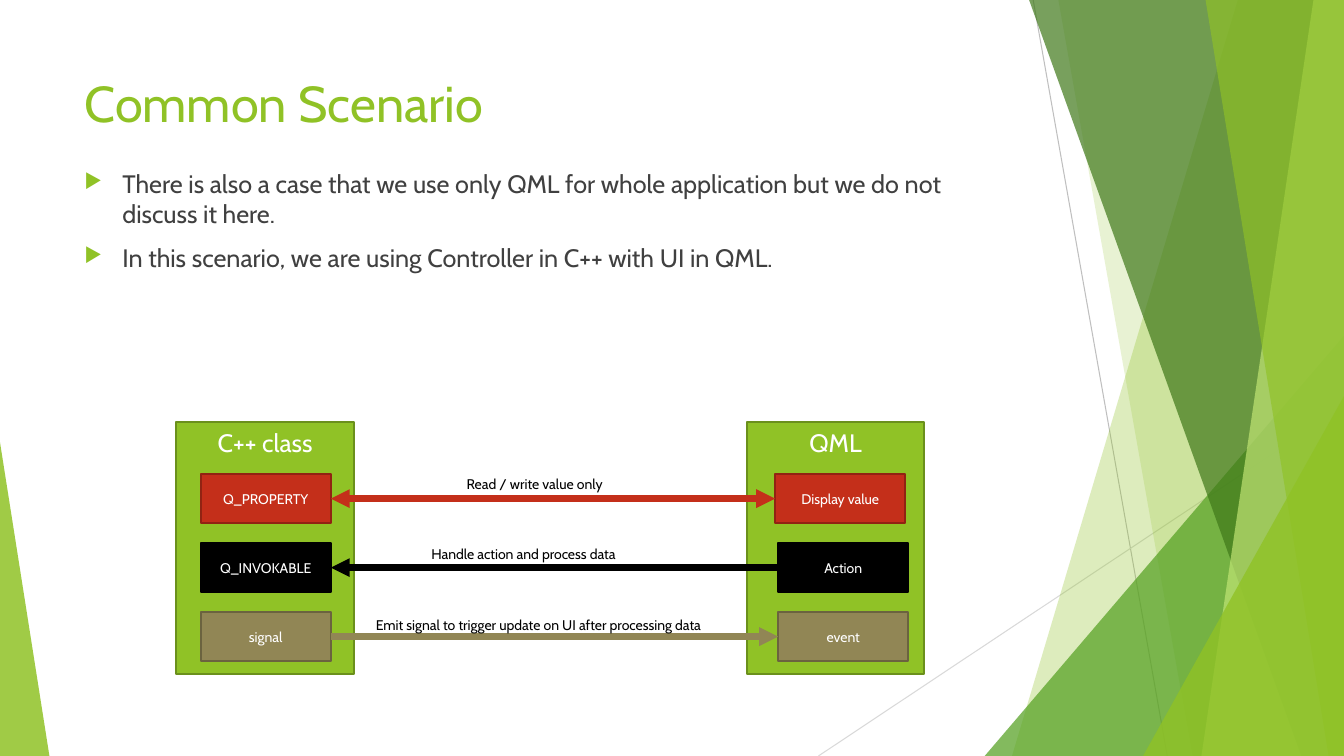
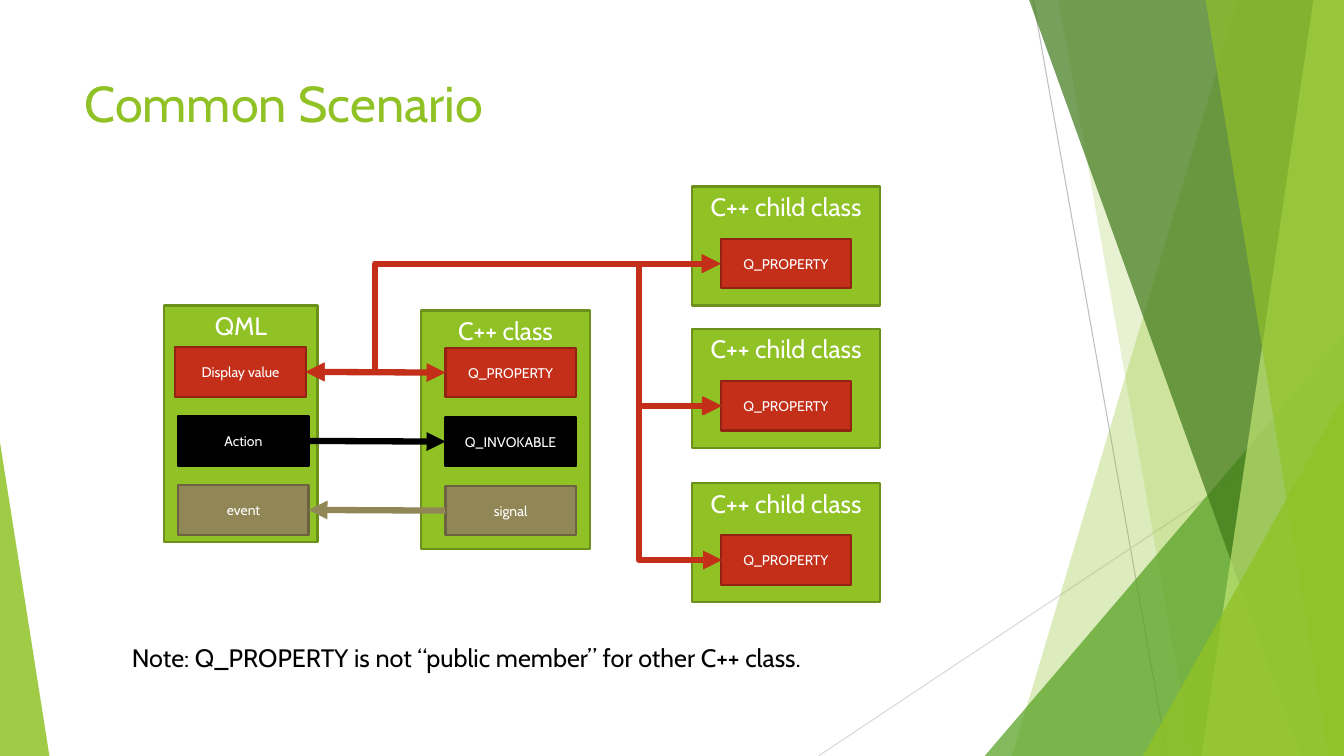
from dataclasses import dataclass
from typing import Optional, Sequence, Union

from lxml.etree import SubElement
from pptx import Presentation
from pptx.dml.color import RGBColor
from pptx.enum.shapes import MSO_CONNECTOR, MSO_SHAPE
from pptx.enum.text import MSO_ANCHOR, PP_ALIGN
from pptx.oxml.ns import qn
from pptx.util import Pt

FONT = "Cabin"
GREEN, GREEN_EDGE = "90C226", "6B901C"
RED, BLACK, OLIVE = "C42F1A", "000000", "918655"
EDGES = {GREEN: GREEN_EDGE, RED: "912313", BLACK: BLACK, OLIVE: "6B633F"}
WHITE, TEXT = "FFFFFF", "404040"
PAGE_WIDTH, PAGE_HEIGHT = 960, 540
BOX_WIDTH, BOX_HEIGHT, ROW_PITCH = 93, 35.5, 49.3
SITE_LEFT, SITE_RIGHT = 1, 3


@dataclass(frozen=True)
class Band:
    top_x: float
    bottom_x: float
    color: str
    opacity: int


@dataclass(frozen=True)
class Wedge:
    left: float
    top: float
    width: float
    apex: float
    color: str
    opacity: int


@dataclass(frozen=True)
class Member:
    text: str
    color: str
    shift: float = 0


@dataclass(frozen=True)
class Panel:
    title: str
    left: float
    top: float
    width: float
    height: float
    box_left: float
    box_top: float
    members: Sequence[Member]


@dataclass(frozen=True)
class Label:
    text: str
    left: float
    top: float
    width: float


BACKDROP: Sequence[Union[Band, Wedge]] = (
    Band(884.2, 722.9, GREEN, 30),
    Band(756, 851.8, GREEN, 20),
    Wedge(703.4, 239.8, 256.6, 1, "54A021", 72),
    Band(735.1, 929.5, "3F7819", 70),
    Band(938.2, 858.2, "C0E474", 70),
    Band(861.1, 949, GREEN, 65),
    Wedge(816.5, 283, 143.5, 1, GREEN, 80),
    Wedge(0, 316, 35.3, 0, GREEN, 85),
)
PROPERTY = Member("Q_PROPERTY", RED)
CLASS_MEMBERS = (PROPERTY, Member("Q_INVOKABLE", BLACK), Member("signal", OLIVE))
QML_MEMBERS = (Member("Display value", RED, -2.1), Member("Action", BLACK), Member("event", OLIVE))


def rgb(value: str) -> RGBColor:
    return RGBColor.from_string(value)


def fill(shape, color: str, opacity: int = 100) -> None:
    shape.shadow.inherit = False
    shape.fill.solid()
    shape.fill.fore_color.rgb = rgb(color)
    if opacity < 100:
        node = shape.element.spPr.find(qn("a:solidFill"))[0]
        SubElement(node, qn("a:alpha")).set("val", str(opacity * 1000))


def write(para, text: str, size: float, color: str, align=PP_ALIGN.LEFT) -> None:
    para.text = text
    para.alignment = align
    para.font.name = FONT
    para.font.size = Pt(size)
    para.font.color.rgb = rgb(color)


def draw_line(page, start, end, color: str, width: float, kind=MSO_CONNECTOR.STRAIGHT,
              head: bool = False, tail: bool = False, bend_x: Optional[float] = None):
    line = page.shapes.add_connector(kind, *(Pt(value) for value in (*start, *end)))
    line.line.color.rgb = rgb(color)
    line.line.width = Pt(width)
    properties = line.element.spPr
    outline = properties.find(qn("a:ln"))
    for tag, wanted in (("a:headEnd", head), ("a:tailEnd", tail)):
        if wanted:
            SubElement(outline, qn(tag)).set("type", "triangle")
    SubElement(properties, qn("a:effectLst"))
    if bend_x is not None:
        share = (bend_x - start[0]) / (end[0] - start[0])
        guides = properties.find(qn("a:prstGeom")).find(qn("a:avLst"))
        guide = SubElement(guides, qn("a:gd"))
        guide.set("name", "adj1")
        guide.set("fmla", f"val {round(share * 100000)}")
    return line


def draw_backdrop(page, layout) -> None:
    existing = set(page.shapes.element)
    draw_line(page, (738, 0), (833.8, PAGE_HEIGHT), "BFBFBF", 0.75)
    draw_line(page, (PAGE_WIDTH, 290.2), (584.6, PAGE_HEIGHT), "D9D9D9", 0.75)
    for item in BACKDROP:
        if isinstance(item, Band):
            outline = page.shapes.build_freeform(Pt(item.top_x), 0)
            corners = ((PAGE_WIDTH, 0), (PAGE_WIDTH, PAGE_HEIGHT), (item.bottom_x, PAGE_HEIGHT))
            outline.add_line_segments([(Pt(x), Pt(y)) for x, y in corners], close=True)
            shape = outline.convert_to_shape()
        else:
            shape = page.shapes.add_shape(
                MSO_SHAPE.ISOSCELES_TRIANGLE, Pt(item.left), Pt(item.top),
                Pt(item.width), Pt(PAGE_HEIGHT - item.top))
            shape.adjustments[0] = item.apex
        fill(shape, item.color, item.opacity)
        shape.line.fill.background()
    drawn = [node for node in page.shapes.element if node not in existing]
    for index, node in enumerate(drawn, start=2):
        layout.shapes.element.insert(index, node)


def set_title(page, text: str) -> None:
    title = page.shapes.title
    title.left, title.top, title.width, title.height = Pt(53.3), Pt(48.2), Pt(676.8), Pt(54.7)
    title.text_frame.vertical_anchor = MSO_ANCHOR.TOP
    write(title.text_frame.paragraphs[0], text, 36, GREEN)


def add_text(page, label: Label, height: float, size: float, color: str = BLACK):
    box = page.shapes.add_textbox(Pt(label.left), Pt(label.top), Pt(label.width), Pt(height))
    box.text_frame.word_wrap = True
    write(box.text_frame.paragraphs[0], label.text, size, color)
    return box


def add_bullets(page, items: Sequence[str]) -> None:
    box = page.shapes.add_textbox(Pt(53.3), Pt(116.6), Pt(676.8), Pt(359.3))
    frame = box.text_frame
    frame.word_wrap = True
    for index, item in enumerate(items):
        para = frame.add_paragraph() if index else frame.paragraphs[0]
        write(para, item, 18, TEXT)
        para.space_before = Pt(10)
        properties = para._p.get_or_add_pPr()
        properties.set("marL", str(Pt(27)))
        properties.set("indent", str(-Pt(27)))
        marks = []
        for tag, value in (("a:buClr", None), ("a:buSzPct", "80000"), ("a:buChar", "▶")):
            mark = SubElement(properties, qn(tag))
            if tag == "a:buClr":
                SubElement(mark, qn("a:srgbClr")).set("val", GREEN)
            else:
                mark.set("char" if tag == "a:buChar" else "val", value)
            marks.append(mark)
        defaults = properties.find(qn("a:defRPr"))
        for mark in marks:
            defaults.addprevious(mark)


def add_box(page, text: str, left: float, top: float, width: float, height: float,
            color: str, size: float, anchor):
    box = page.shapes.add_shape(MSO_SHAPE.RECTANGLE, Pt(left), Pt(top), Pt(width), Pt(height))
    fill(box, color)
    box.line.color.rgb = rgb(EDGES[color])
    box.line.width = Pt(1.5)
    box.text_frame.vertical_anchor = anchor
    write(box.text_frame.paragraphs[0], text, size, WHITE, PP_ALIGN.CENTER)
    return box


def add_panel(page, panel: Panel) -> list:
    add_box(page, panel.title, panel.left, panel.top, panel.width, panel.height,
            GREEN, 18, MSO_ANCHOR.TOP)
    return [
        add_box(page, member.text, panel.box_left + member.shift, panel.box_top + row * ROW_PITCH,
                BOX_WIDTH, BOX_HEIGHT, member.color, 10, MSO_ANCHOR.MIDDLE)
        for row, member in enumerate(panel.members)
    ]


def side(box, site: int) -> tuple:
    x = box.left + (box.width if site == SITE_RIGHT else 0)
    return x / Pt(1), (box.top + box.height / 2) / Pt(1)


def join(page, source, target, color: str, both: bool = False) -> None:
    rightward = source.left < target.left
    start, end = (SITE_RIGHT, SITE_LEFT) if rightward else (SITE_LEFT, SITE_RIGHT)
    line = draw_line(page, side(source, start), side(target, end), color, 4.5,
                     head=both, tail=True)
    line.begin_connect(source, start)
    line.end_connect(target, end)


def join_rows(page, qml: list, backend: list) -> None:
    join(page, qml[0], backend[0], RED, both=True)
    join(page, qml[1], backend[1], BLACK)
    join(page, backend[2], qml[2], OLIVE)


def build_direct(page) -> None:
    add_bullets(page, (
        "There is also a case that we use only QML for whole application "
        "but we do not discuss it here.",
        "In this scenario, we are using Controller in C++ with UI in QML.",
    ))
    backend = add_panel(page, Panel("C++ class", 126, 301.7, 126.7, 180, 143.3, 338.4, CLASS_MEMBERS))
    qml = add_panel(page, Panel("QML", 533.5, 301.7, 126.7, 180, 555.8, 338.4, QML_MEMBERS))
    join_rows(page, qml, backend)
    for label in (
        Label("Read / write value only", 326.2, 336.2, 175),
        Label("Handle action and process data", 301, 385.9, 226),
        Label("Emit signal to trigger update on UI after processing data", 261.4, 437, 268.6),
    ):
        add_text(page, label, 19.4, 10)


def build_children(page) -> None:
    backend = add_panel(page, Panel("C++ class", 301, 221.8, 120.2, 170.6, 318.2, 248.4, CLASS_MEMBERS))
    qml = add_panel(page, Panel("QML", 117.4, 218.2, 109.4, 169.2, 127.4, 247.9, QML_MEMBERS))
    join_rows(page, qml, backend)
    children = [
        add_panel(page, Panel("C++ child class", 494.6, top, 133.9, 85, 514.8, top + 37.4, (PROPERTY,)))[0]
        for top in (133.2, 234.7, 344.9)
    ]
    draw_line(page, side(qml[0], SITE_RIGHT), side(children[0], SITE_LEFT), RED, 4.5,
              MSO_CONNECTOR.ELBOW, True, True, 267.8)
    for upper, lower in zip(children, children[1:]):
        x, y = side(lower, SITE_LEFT)
        draw_line(page, side(upper, SITE_LEFT), (x + 1, y), RED, 4.5,
                  MSO_CONNECTOR.ELBOW, True, True, 456)
    note = "Note: Q_PROPERTY is not “public member” for other C++ class."
    add_text(page, Label(note, 87.1, 455, 532), 29, 18)


def main() -> None:
    deck = Presentation()
    deck.slide_width, deck.slide_height = Pt(PAGE_WIDTH), Pt(PAGE_HEIGHT)
    layout = deck.slide_layouts[5]
    for index, build in enumerate((build_direct, build_children)):
        page = deck.slides.add_slide(layout)
        if index == 0:
            draw_backdrop(page, layout)
        set_title(page, "Common Scenario")
        build(page)
    deck.save("out.pptx")


main()
